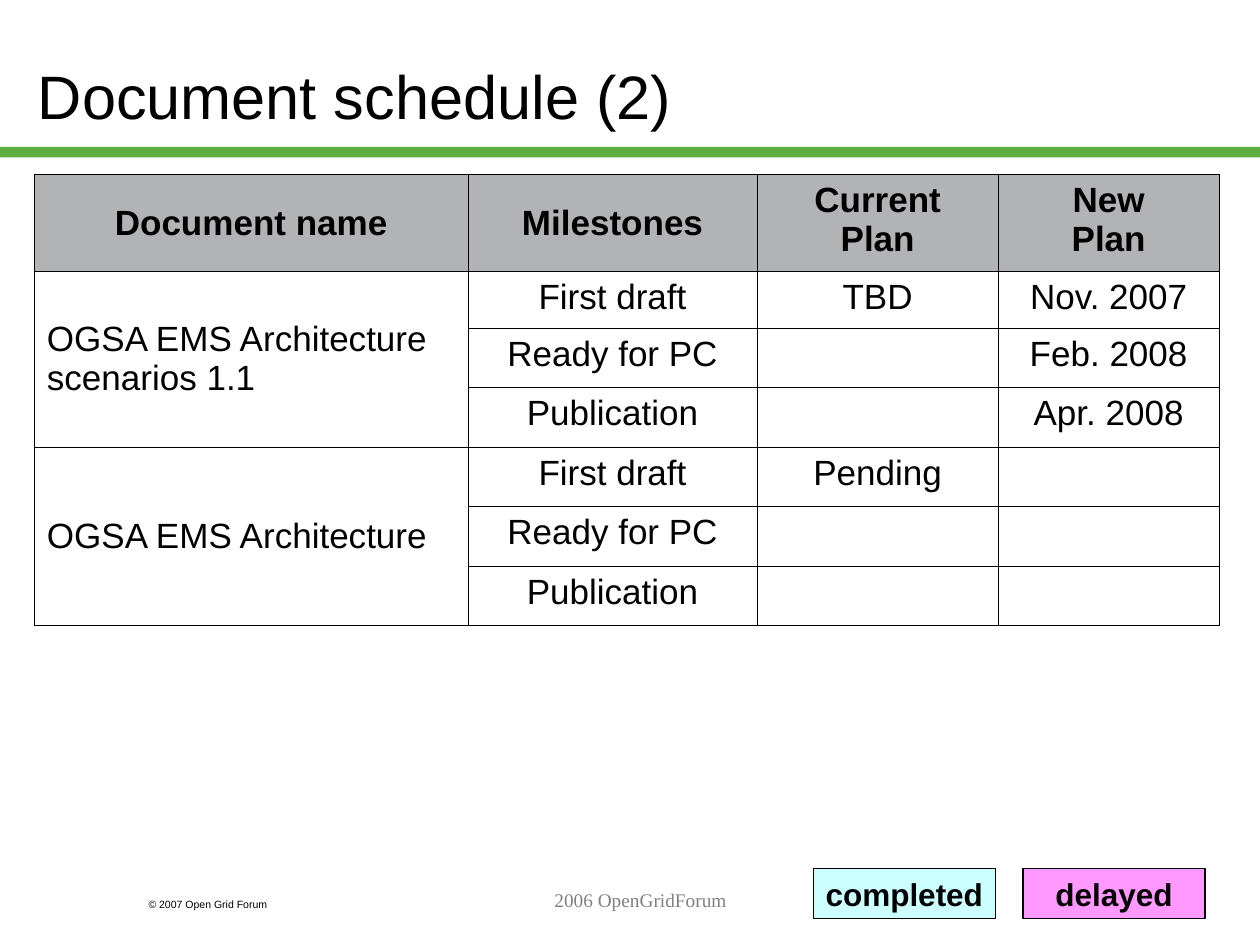
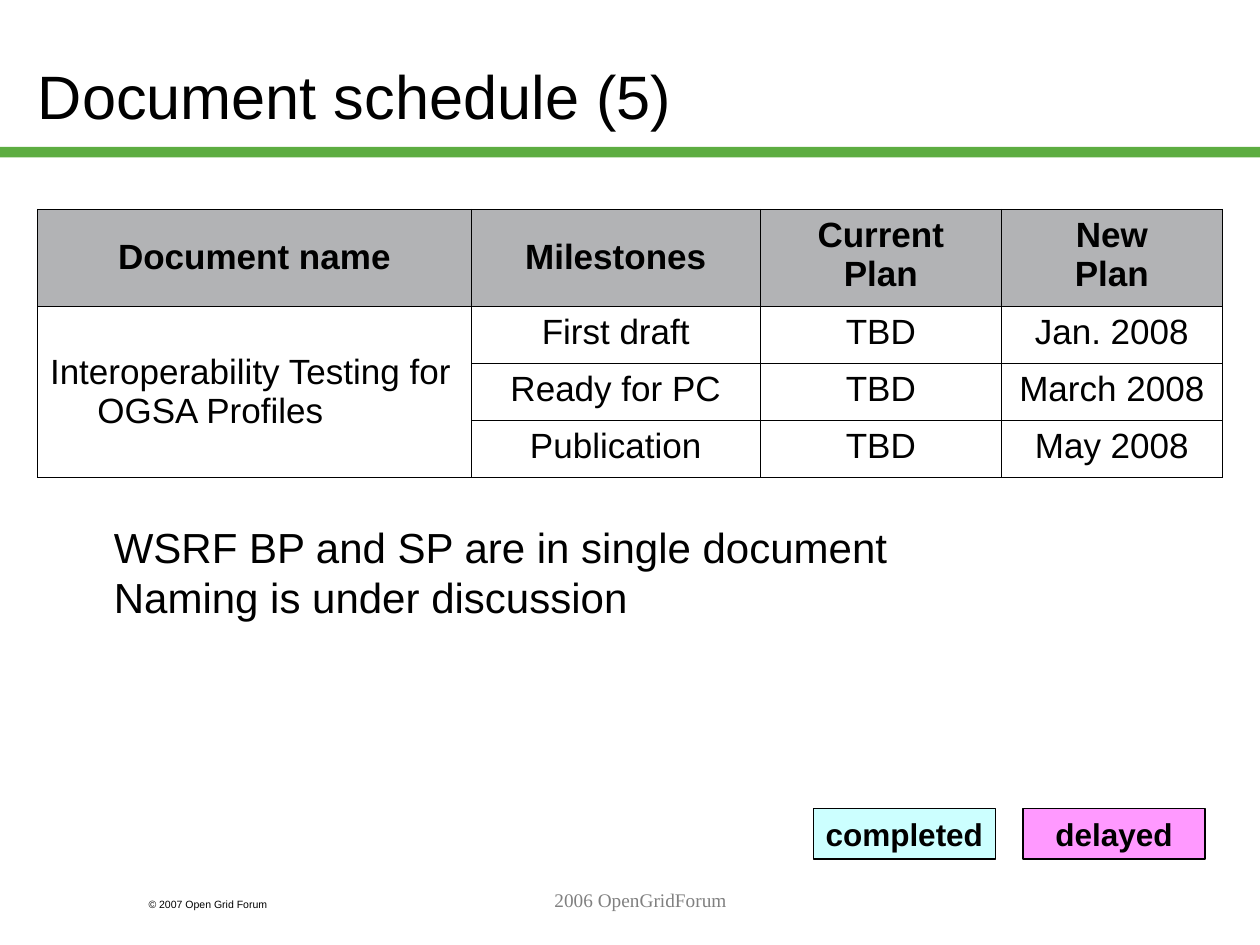
from lxml.etree import SubElement
from pptx import Presentation
from pptx.dml.color import RGBColor
from pptx.enum.shapes import MSO_SHAPE as Preset
from pptx.enum.text import MSO_ANCHOR as Anchor, MSO_AUTO_SIZE as AutoSize, PP_ALIGN as Align
from pptx.oxml.ns import qn
from pptx.util import Pt

COLORS = {"text": "000000", "band": "5DAD41", "header": "B2B3B5",
          "completed": "CCFFFF", "delayed": "FF99FF", "footer": "808080"}
COLUMN_WIDTHS = (248, 165, 138, 126)
HEADINGS = ("Document name", "Milestones", "Current\nPlan", "New\nPlan")
MILESTONES = ("First draft", "Ready for PC", "Publication")
HEADER_HEIGHT = 55.4
HANGING = Pt(27)


def color(key):
    """Return the named colour."""
    return RGBColor.from_string(COLORS[key])


def write(frame, text, size, bold=False, align=Align.LEFT, key="text", face="Arial"):
    """Put text in a frame and format its runs."""
    frame.text = text
    for paragraph in frame.paragraphs:
        paragraph.alignment = align
        for run in paragraph.runs:
            run.font.size = Pt(size)
            run.font.name = face
            run.font.bold = bold
            run.font.color.rgb = color(key)


def add_label(slide, box, text, size, wrap=True, **style):
    """Add a text box."""
    frame = slide.shapes.add_textbox(*map(Pt, box)).text_frame
    frame.word_wrap = wrap
    write(frame, text, size, **style)


def add_block(slide, box, key):
    """Add a flat rectangle without outline."""
    block = slide.shapes.add_shape(Preset.RECTANGLE, *map(Pt, box))
    block.shadow.inherit = False
    block.fill.solid()
    block.fill.fore_color.rgb = color(key)
    block.line.fill.background()
    return block


def add_frame(deck, heading):
    """Add a slide with its title, green band and footers."""
    slide = deck.slides.add_slide(deck.slide_layouts[5])
    add_block(slide, (0, 84, 720, 6), "band")
    title = slide.shapes.title
    title.left, title.top, title.width, title.height = map(Pt, (14.4, 9.4, 612, 90))
    title.text_frame.auto_size = AutoSize.NONE
    title.text_frame.vertical_anchor = Anchor.MIDDLE
    write(title.text_frame, heading, 35)
    add_label(slide, (77.8, 509.8, 108, 14.4), "© 2007 Open Grid Forum", 6)
    add_label(slide, (156, 504, 420, 36), "2006 OpenGridForum", 11,
              align=Align.CENTER, key="footer", face="Times New Roman")
    return slide


def add_borders(cell):
    """Draw a thin black line on each side of a cell."""
    properties = cell._tc.get_or_add_tcPr()
    for side in ("a:lnL", "a:lnR", "a:lnT", "a:lnB"):
        line = SubElement(properties, qn(side), w=str(Pt(0.45)))
        fill = SubElement(line, qn("a:solidFill"))
        SubElement(fill, qn("a:srgbClr"), val=COLORS["text"])


def add_schedule(slide, left, top, row_heights, documents):
    """Add the milestone table, three rows for each document."""
    heights = (HEADER_HEIGHT, *row_heights)
    table = slide.shapes.add_table(
        len(heights), len(COLUMN_WIDTHS), Pt(left), Pt(top),
        Pt(sum(COLUMN_WIDTHS)), Pt(sum(heights))).table
    table.first_row = table.horz_banding = False
    for column, width in zip(table.columns, COLUMN_WIDTHS):
        column.width = Pt(width)
    for row, height in zip(table.rows, heights):
        row.height = Pt(height)
    for cell in table.iter_cells():
        add_borders(cell)
        cell.fill.background()
    for index, heading in enumerate(HEADINGS):
        cell = table.cell(0, index)
        cell.fill.solid()
        cell.fill.fore_color.rgb = color("header")
        cell.vertical_anchor = Anchor.MIDDLE if index < 2 else Anchor.TOP
        write(cell.text_frame, heading, 20, True, Align.CENTER)
    for number, (name, plans) in enumerate(documents):
        first = 1 + number * len(MILESTONES)
        name_cell = table.cell(first, 0)
        name_cell.merge(table.cell(first + len(MILESTONES) - 1, 0))
        name_cell.vertical_anchor = Anchor.MIDDLE
        write(name_cell.text_frame, name, 20)
        for paragraph in name_cell.text_frame.paragraphs:
            indents = paragraph._p.get_or_add_pPr()
            indents.set("marL", str(HANGING))
            indents.set("indent", str(-HANGING))
        for offset, (milestone, plan) in enumerate(zip(MILESTONES, plans)):
            for index, text in enumerate((milestone, *plan), 1):
                if text:
                    write(table.cell(first + offset, index).text_frame, text, 20,
                          align=Align.CENTER)


def add_legend(slide, left, top):
    """Add the two status keys side by side."""
    for index, status in enumerate(("completed", "delayed")):
        key = add_block(slide, (left + index * 119.8, top, 104, 28.8), status)
        key.line.color.rgb = color("text")
        key.line.width = Pt(0.75)
        key.text_frame.word_wrap = False
        key.text_frame.vertical_anchor = Anchor.MIDDLE
        write(key.text_frame, status, 18, True, Align.CENTER)


def main():
    """Build both schedule slides."""
    deck = Presentation()
    deck.slide_width, deck.slide_height = Pt(720), Pt(540)

    architecture = add_frame(deck, "Document schedule (2)")
    add_schedule(architecture, 19.6, 99.7, [32.4] + [34] * 5, [
        ("OGSA EMS Architecture\nscenarios 1.1",
         [("TBD", "Nov. 2007"), ("", "Feb. 2008"), ("", "Apr. 2008")]),
        ("OGSA EMS Architecture", [("Pending", ""), ("", ""), ("", "")])])
    add_legend(architecture, 464.8, 496.2)

    testing = add_frame(deck, "Document schedule (5)")
    add_schedule(testing, 21.4, 119.5, [32.6] * 3, [
        ("Interoperability Testing for OGSA Profiles",
         [("TBD", "Jan. 2008"), ("TBD", "March 2008"), ("TBD", "May 2008")])])
    add_legend(testing, 464.8, 462.2)
    add_label(testing, (58, 294.5, 457, 64.8),
              "WSRF BP and SP are in single document\nNaming is under discussion",
              24, wrap=False)
    deck.save("out.pptx")


if __name__ == "__main__":
    main()
